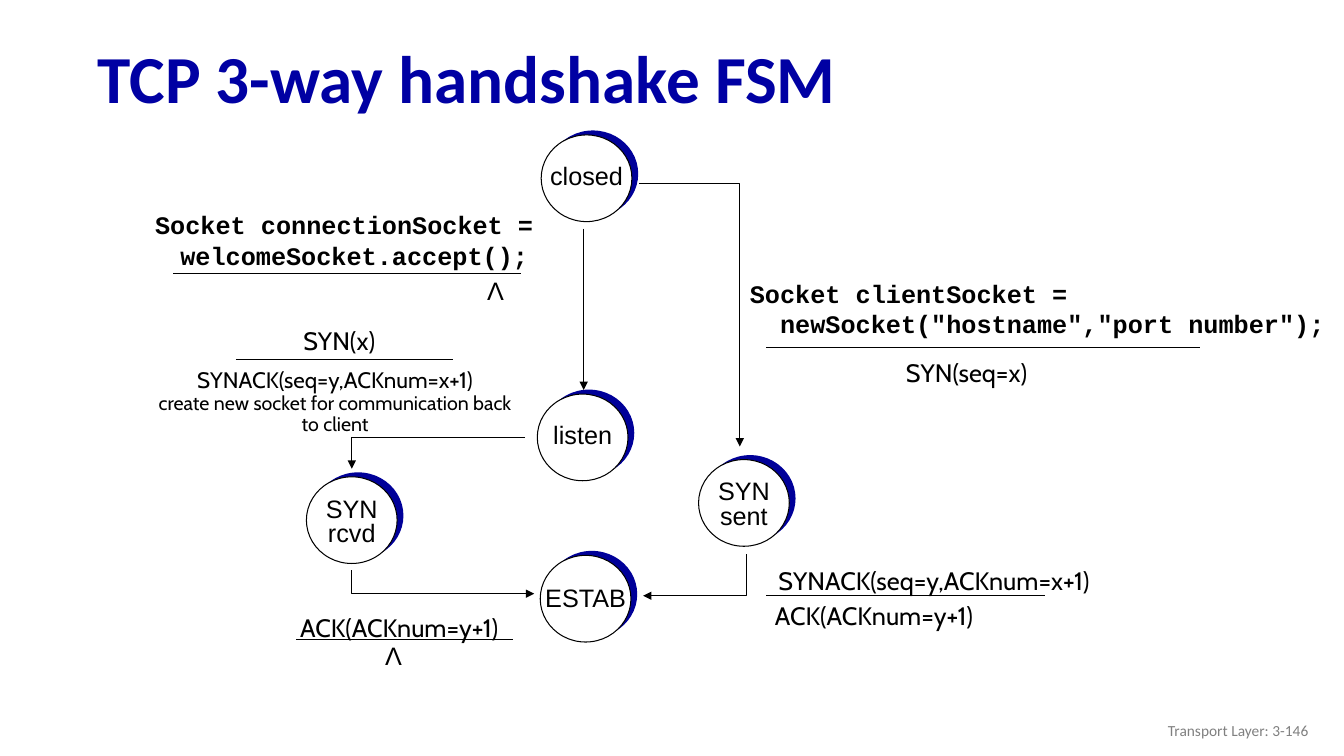
from lxml.etree import SubElement
from pptx import Presentation
from pptx.dml.color import RGBColor
from pptx.enum.shapes import MSO_CONNECTOR, MSO_SHAPE
from pptx.enum.text import MSO_ANCHOR as Anchor, PP_ALIGN as Align
from pptx.oxml.ns import qn
from pptx.util import Pt

COLORS = {"title": "0000A3", "shadow": "000099", "paper": "FFFFFF",
          "ink": "000000", "footer": "808080"}

STYLES = {
    "title": {"name": "Calibri", "size": 48, "bold": True, "color": "title",
              "align": Align.LEFT, "spacing": 0.9, "anchor": Anchor.MIDDLE, "wrap": True},
    "footer": {"name": "Calibri", "size": 11, "color": "footer",
               "align": Align.RIGHT, "anchor": Anchor.MIDDLE, "wrap": True},
    "code": {"name": "Courier New", "size": 18, "bold": True,
             "align": Align.LEFT, "wrap": True, "hanging": 18},
    "message": {"name": "Cabin", "size": 18},
    "tight": {"name": "Cabin", "size": 18, "spacing": 0.9},
    "event": {"name": "Cabin", "size": 16, "spacing": 0.9, "wrap": True},
    "note": {"name": "Cabin", "size": 14, "spacing": 0.9, "wrap": True},
    "symbol": {"name": "Arial", "size": 18},
    "state": {"name": "Arial", "size": 18, "anchor": Anchor.MIDDLE},
    "stacked": {"name": "Arial", "size": 18, "anchor": Anchor.MIDDLE, "spacing": 0.8},
}

CIRCLE_WIDTH, CIRCLE_HEIGHT = 64.8, 61.9
SHADOW_SHIFT = (4.5, -3.2)
LABEL_OVERHANG = 10

STATES = [
    (386.6, 96.4, ["closed"], "state", -2),
    (383.8, 281.5, ["listen"], "state", -2),
    (218.9, 340.6, ["SYN", "rcvd"], "stacked", 2),
    (499, 328.3, ["SYN", "sent"], "stacked", 2),
    (385.9, 396.7, ["ESTAB"], "stacked", 1),
]

ARROWS = [
    [(456.5, 131), (528.5, 131), (528.5, 319)],
    [(416.9, 163.4), (416.9, 278.6)],
    [(375.1, 312.5), (251.3, 312.5), (251.3, 334.8)],
    [(251.3, 407.5), (251.3, 424.1), (381.6, 424.1)],
    [(533.5, 396), (533.5, 425.5), (459.4, 425.5)],
]

TRANSITIONS = [
    ((547.2, 248.4, 310.3), [
        ((-18.7, -53.3, 435.6, 51),
         [("Socket clientSocket =", "code"),
          ('  newSocket("hostname","port number");', "code")]),
        ((87.8, 3.6, 110.9, 28.8), [("SYN(seq=x)", "message")])]),
    ((123.8, 195.1, 248.4), [
        ((-20.1, -48.9, 329.8, 51),
         [("Socket connectionSocket = welcomeSocket.accept();", "code")]),
        ((216.8, -2.1, 26.6, 28.8), [("Λ", "symbol")])]),
    ((168.5, 257, 154.8), [
        ((38.9, -28, 69.8, 28.8), [("SYN(x)", "message")]),
        ((-64.8, 3.4, 271.4, 55),
         [("SYNACK(seq=y,ACKnum=x+1)", "event"),
          ("create new socket for communication back to client", "note")])]),
    ((547.2, 425.5, 199.4), [
        ((-11.5, -22.7, 262.8, 27), [("SYNACK(seq=y,ACKnum=x+1)", "tight")]),
        ((-10.1, 2.3, 174.2, 27), [("ACK(ACKnum=y+1)", "tight")])]),
    ((211.7, 456.5, 154.8), [
        ((-13.7, -20.4, 174.2, 27), [("ACK(ACKnum=y+1)", "tight")]),
        ((56.1, -2.9, 26.6, 28.8), [("Λ", "symbol")])]),
]


def color(name):
    return RGBColor.from_string(COLORS[name])


def write(shape, lines):
    frame = shape.text_frame
    first = STYLES[lines[0][1]]
    formats = {"word_wrap": first.get("wrap", False),
               "vertical_anchor": first.get("anchor", Anchor.TOP)}
    for key, value in formats.items():
        setattr(frame, key, value)
    for index, (text, style_name) in enumerate(lines):
        style = STYLES[style_name]
        paragraph = frame.add_paragraph() if index else frame.paragraphs[0]
        paragraph.text = text
        paragraph.alignment = style.get("align", Align.CENTER)
        paragraph.line_spacing = style.get("spacing", 1.0)
        if "hanging" in style:
            properties = paragraph._p.get_or_add_pPr()
            properties.set("marL", str(Pt(style["hanging"])))
            properties.set("indent", str(-Pt(style["hanging"])))
        font = paragraph.runs[0].font
        formats = {"name": style["name"], "size": Pt(style["size"]),
                   "bold": style.get("bold", False)}
        for key, value in formats.items():
            setattr(font, key, value)
        font.color.rgb = color(style.get("color", "ink"))


def add_text(slide, box, lines):
    write(slide.shapes.add_textbox(*map(Pt, box)), lines)


def format_line(shape, arrow=False):
    shape.line.color.rgb = color("ink")
    shape.line.width = Pt(0.75)
    if arrow:
        SubElement(shape.line._get_or_add_ln(), qn("a:tailEnd"), type="triangle")


def add_straight(slide, start, end, arrow=False):
    line = slide.shapes.add_connector(MSO_CONNECTOR.STRAIGHT, *map(Pt, start + end))
    format_line(line, arrow)
    SubElement(line._element.spPr, qn("a:effectLst"))


def add_arrow(slide, points):
    if len(points) == 2:
        add_straight(slide, *points, arrow=True)
        return
    start, *corners = [(Pt(x), Pt(y)) for x, y in points]
    builder = slide.shapes.build_freeform(*start)
    builder.add_line_segments(corners, close=False)
    shape = builder.convert_to_shape()
    shape.fill.background()
    shape.shadow.inherit = False
    format_line(shape, arrow=True)


def add_circle(slide, left, top, fill):
    circle = slide.shapes.add_shape(
        MSO_SHAPE.OVAL, *map(Pt, (left, top, CIRCLE_WIDTH, CIRCLE_HEIGHT)))
    circle.shadow.inherit = False
    circle.fill.solid()
    circle.fill.fore_color.rgb = color(fill)
    return circle


def add_state(slide, left, top, words, style, label_shift):
    shift_x, shift_y = SHADOW_SHIFT
    add_circle(slide, left + shift_x, top + shift_y, "shadow").line.fill.background()
    format_line(add_circle(slide, left, top, "paper"))
    label_box = (left - LABEL_OVERHANG, top + label_shift,
                 CIRCLE_WIDTH + 2 * LABEL_OVERHANG, CIRCLE_HEIGHT)
    add_text(slide, label_box, [(word, style) for word in words])


def add_transition(slide, rule, labels):
    left, top, width = rule
    add_straight(slide, (left, top), (left + width, top))
    for (shift_x, shift_y, label_width, label_height), lines in labels:
        add_text(slide, (left + shift_x, top + shift_y, label_width, label_height), lines)


def add_title(slide, box, text):
    title = slide.shapes.title
    for key, value in zip(("left", "top", "width", "height"), box):
        setattr(title, key, Pt(value))
    write(title, [(text, "title")])


def main():
    presentation = Presentation()
    presentation.slide_width, presentation.slide_height = Pt(960), Pt(540)
    slide = presentation.slides.add_slide(presentation.slide_layouts[5])
    add_title(slide, (62.6, 23, 897.1, 70.6), "TCP 3-way handshake FSM")
    add_text(slide, (725.8, 507.6, 216, 28.8), [("Transport Layer: 3-146", "footer")])
    for state in STATES:
        add_state(slide, *state)
    for points in ARROWS:
        add_arrow(slide, points)
    for rule, labels in TRANSITIONS:
        add_transition(slide, rule, labels)
    presentation.save("out.pptx")


if __name__ == "__main__":
    main()
